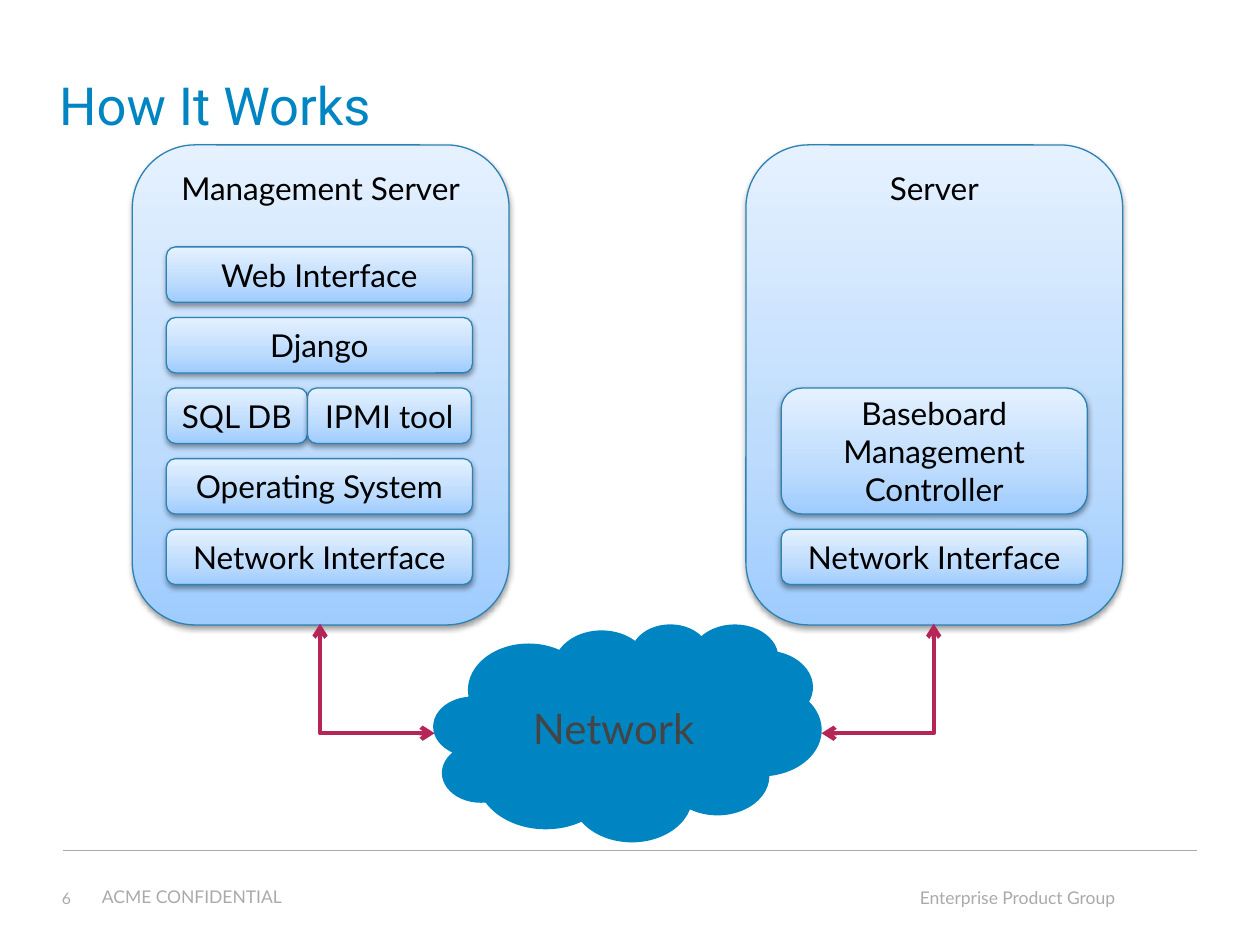
from lxml import etree
from pptx import Presentation
from pptx import util as u
from pptx.dml.color import RGBColor
from pptx.enum import shapes, text
from pptx.oxml.ns import qn

BLUE = RGBColor(0x00, 0x85, 0xC3)
EDGE = RGBColor(0x2C, 0x82, 0xB5)
ARROW = RGBColor(0xB6, 0x25, 0x57)
GRAY = RGBColor(0xAA, 0xAA, 0xAA)
DARK = RGBColor(0x44, 0x44, 0x44)
BLACK = RGBColor(0x00, 0x00, 0x00)
GRADIENT = [(0, "9ECCFE"), (35, "BCDBFD"), (100, "E5F1FF")]
LEFT, CENTER, RIGHT = text.PP_ALIGN.LEFT, text.PP_ALIGN.CENTER, text.PP_ALIGN.RIGHT
TOP, MIDDLE, BOTTOM = text.MSO_ANCHOR.TOP, text.MSO_ANCHOR.MIDDLE, text.MSO_ANCHOR.BOTTOM


def write(shape, words, size=18, color=BLACK, font="Lato", align=CENTER,
          anchor=MIDDLE, insets=None, spacing=None):
    frame = shape.text_frame
    frame.word_wrap = True
    frame.auto_size = text.MSO_AUTO_SIZE.NONE
    frame.vertical_anchor = anchor
    if insets:
        (frame.margin_left, frame.margin_top,
         frame.margin_right, frame.margin_bottom) = map(u.Inches, insets)
    paragraph = frame.paragraphs[0]
    paragraph.alignment = align
    paragraph.line_spacing = spacing
    run = paragraph.add_run()
    run.text = words
    run.font.size = u.Pt(size)
    run.font.name = font
    run.font.color.rgb = color


def add_box(words, left, top, width, height, anchor=MIDDLE):
    box = slide.shapes.add_shape(shapes.MSO_SHAPE.ROUNDED_RECTANGLE,
                                 *map(u.Inches, (left, top, width, height)))
    box.line.color.rgb = EDGE
    box.line.width = u.Pt(0.75)
    box.fill.gradient()
    box.fill.gradient_angle = 90
    stops = box._element.spPr.find(".//" + qn("a:gsLst"))
    for stop in list(stops):
        stops.remove(stop)
    for position, shade in GRADIENT:
        stop = etree.SubElement(stops, qn("a:gs"), pos=str(position * 1000))
        etree.SubElement(stop, qn("a:srgbClr"), val=shade)
    # Soft shadow below the box
    box.shadow.inherit = False
    effects = box._element.spPr.find(qn("a:effectLst"))
    shadow = etree.SubElement(effects, qn("a:outerShdw"), blurRad="40000", dist="20000",
                              dir="5400000", rotWithShape="0")
    tint = etree.SubElement(shadow, qn("a:srgbClr"), val="000000")
    etree.SubElement(tint, qn("a:alpha"), val="38000")
    write(box, words, anchor=anchor)


deck = Presentation()
deck.slide_width, deck.slide_height = u.Inches(10), u.Inches(7.5)
slide = deck.slides.add_slide(deck.slide_layouts[5])

# Title
title = slide.shapes.title
title.left, title.top, title.width, title.height = map(u.Inches, (0.47, 0.04, 9.01, 1.05))
write(title, "How It Works", size=30, color=BLUE, font="Roboto", align=LEFT,
      anchor=BOTTOM, insets=(0, 0, 0, 0), spacing=0.9)

# Footer
rule = slide.shapes.add_connector(shapes.MSO_CONNECTOR.STRAIGHT,
                                  *map(u.Inches, (0.5, 6.75, 9.5, 6.75)))
rule.line.color.rgb = GRAY
rule.line.width = u.Pt(0.75)
etree.SubElement(rule._element.spPr, qn("a:effectLst"))
for words, left, top, width, size, align, anchor, inset in [
    ("6", 0.49, 7.04, 0.28, 9, LEFT, MIDDLE, 0.1),
    ("ACME CONFIDENTIAL", 0.81, 7.03, 2.06, 10, LEFT, MIDDLE, 0.1),
    ("Enterprise Product Group", 5.85, 7.04, 3, 10, RIGHT, TOP, 0),
]:
    footer = slide.shapes.add_textbox(*map(u.Inches, (left, top, width, 0.17)))
    write(footer, words, size=size, color=GRAY, align=align, anchor=anchor,
          insets=(0, 0, inset, 0))

# Server panels
for words, left in [("Management Server", 1.05), ("Server", 5.92)]:
    add_box(words, left, 1.15, 2.99, 3.81, anchor=TOP)

# Layers inside the panels: row number, left, width, rows spanned
STACK_TOP, ROW_STEP, ROW_HEIGHT = 1.96, 0.56, 0.44
STACK_WIDTH, MANAGEMENT_LEFT, SERVER_LEFT = 2.43, 1.32, 6.2
for words, row, left, width, span in [
    ("Web Interface", 0, MANAGEMENT_LEFT, STACK_WIDTH, 1),
    ("Django", 1, MANAGEMENT_LEFT, STACK_WIDTH, 1),
    ("SQL DB", 2, MANAGEMENT_LEFT, 1.12, 1),
    ("IPMI tool", 2, 2.44, 1.3, 1),
    ("Operating System", 3, MANAGEMENT_LEFT, STACK_WIDTH, 1),
    ("Network Interface", 4, MANAGEMENT_LEFT, STACK_WIDTH, 1),
    ("Baseboard Management Controller", 2, SERVER_LEFT, STACK_WIDTH, 2),
    ("Network Interface", 4, SERVER_LEFT, STACK_WIDTH, 1),
]:
    add_box(words, left, STACK_TOP + row * ROW_STEP, width,
            ROW_HEIGHT + (span - 1) * ROW_STEP, anchor=MIDDLE)

# Network cloud, with the callout tail tucked inside
cloud = slide.shapes.add_shape(shapes.MSO_SHAPE.CLOUD_CALLOUT,
                               *map(u.Inches, (3.44, 4.95, 3.08, 1.73)))
cloud.adjustments[0], cloud.adjustments[1] = -0.06, -0.07
cloud.shadow.inherit = False
cloud.fill.solid()
cloud.fill.fore_color.rgb = BLUE
cloud.line.fill.background()
write(cloud, "Network", size=24, color=DARK)

# Two-way arrows from the cloud up to each panel
for cloud_x, panel_x in [(6.52, 7.41), (3.45, 2.54)]:
    link = slide.shapes.add_connector(shapes.MSO_CONNECTOR.ELBOW,
                                      *map(u.Inches, (cloud_x, 5.82, panel_x, 4.95)))
    link.line.color.rgb = ARROW
    link.line.width = u.Pt(2.5)
    properties = link._element.spPr
    properties.find(qn("a:prstGeom")).set("prst", "bentConnector2")
    for end in ("a:headEnd", "a:tailEnd"):
        etree.SubElement(properties.find(qn("a:ln")), qn(end), type="arrow")
    etree.SubElement(properties, qn("a:effectLst"))

deck.save("out.pptx")
